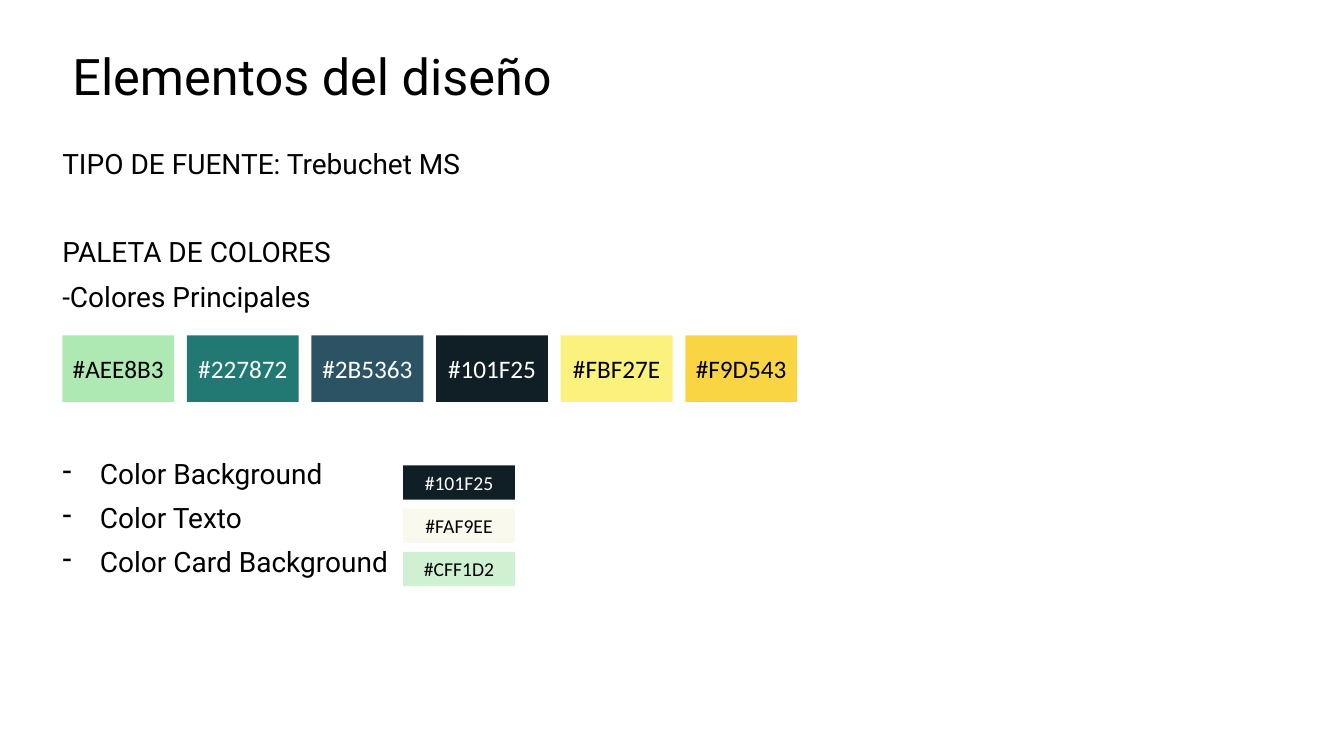
"""Build a slide that lists the typeface and colour palette of a design."""
from lxml.etree import SubElement
from pptx import Presentation
from pptx.dml.color import RGBColor
from pptx.enum.shapes import MSO_SHAPE
from pptx.enum.text import MSO_ANCHOR, MSO_AUTO_SIZE, PP_ALIGN
from pptx.oxml.ns import qn
from pptx.util import Cm, Pt

COLORS = {"dark_text": "000000", "light_text": "FFFFFF"}
MAIN_COLORS = [
    ("AEE8B3", "dark_text"),
    ("227872", "light_text"),
    ("2B5363", "light_text"),
    ("101F25", "light_text"),
    ("FBF27E", "dark_text"),
    ("F9D543", "dark_text"),
]
USE_COLORS = [
    ("101F25", "light_text"),
    ("FAF9EE", "dark_text"),
    ("CFF1D2", "dark_text"),
]
LINES = [
    ("TIPO DE FUENTE: Trebuchet MS", 10, False),
    ("PALETA DE COLORES", 41.7, False),
    ("-Colores Principales", 10, False),
    ("Color Background", 105, True),
    ("Color Texto", 10, True),
    ("Color Card Background", 10, True),
]


def style_paragraph(p, font, size, color):
    """Set the font, size and colour of every run in a paragraph."""
    for r in p.runs:
        r.font.name = font
        r.font.size = Pt(size)
        r.font.color.rgb = RGBColor.from_string(COLORS[color])


def add_dash(p):
    """Give a paragraph a dash bullet with a hanging indent."""
    pPr = p._p.get_or_add_pPr()
    pPr.set("marL", str(Cm(0.95)))
    pPr.set("indent", str(-Cm(0.95)))
    SubElement(pPr, qn("a:buChar")).set("char", "-")


def set_title(s, text):
    """Place and format the slide title."""
    sp = s.shapes.title
    sp.left, sp.top, sp.width, sp.height = Cm(1.57), Cm(1.17), Cm(29.36), Cm(1.68)
    tf = sp.text_frame
    tf.text = text
    tf.auto_size = MSO_AUTO_SIZE.NONE
    tf.vertical_anchor = MSO_ANCHOR.TOP
    p = tf.paragraphs[0]
    p.alignment = PP_ALIGN.LEFT
    p.line_spacing = 0.9
    style_paragraph(p, "Roboto", 36, "dark_text")


def add_description(s):
    """Add the text that describes the typeface and the palette."""
    tf = s.shapes.add_textbox(Cm(1.32), Cm(3.66), Cm(15.39), Cm(11.5)).text_frame
    tf.word_wrap = True
    tf.text = "\n".join(text for text, _, _ in LINES)
    for p, (_, space, dashed) in zip(tf.paragraphs, LINES):
        p.line_spacing = 0.9
        p.space_before = Pt(space)
        style_paragraph(p, "Roboto", 20, "dark_text")
        if dashed:
            add_dash(p)


def add_swatch(s, left, top, height, size, fill, color):
    """Add a filled rectangle labelled with its own hex code."""
    sp = s.shapes.add_shape(
        MSO_SHAPE.RECTANGLE, Cm(left), Cm(top), Cm(2.82), Cm(height))
    sp.shadow.inherit = False
    sp.fill.solid()
    sp.fill.fore_color.rgb = RGBColor.from_string(fill)
    sp.line.fill.background()
    tf = sp.text_frame
    tf.margin_left = tf.margin_right = 0
    tf.vertical_anchor = MSO_ANCHOR.MIDDLE
    tf.text = f"#{fill}"
    p = tf.paragraphs[0]
    p.alignment = PP_ALIGN.CENTER
    style_paragraph(p, "Calibri", size, color)


def main():
    """Build and save the presentation."""
    prs = Presentation()
    prs.slide_width, prs.slide_height = Cm(33.87), Cm(19.05)
    s = prs.slides.add_slide(prs.slide_layouts[5])
    set_title(s, "Elementos del diseño")
    add_description(s)
    for i, (fill, color) in enumerate(MAIN_COLORS):
        add_swatch(s, 1.57 + 3.14 * i, 8.45, 1.68, 18, fill, color)
    for i, (fill, color) in enumerate(USE_COLORS):
        add_swatch(s, 10.16, 11.73 + 1.09 * i, 0.86, 14, fill, color)
    prs.save("out.pptx")


if __name__ == "__main__":
    main()
